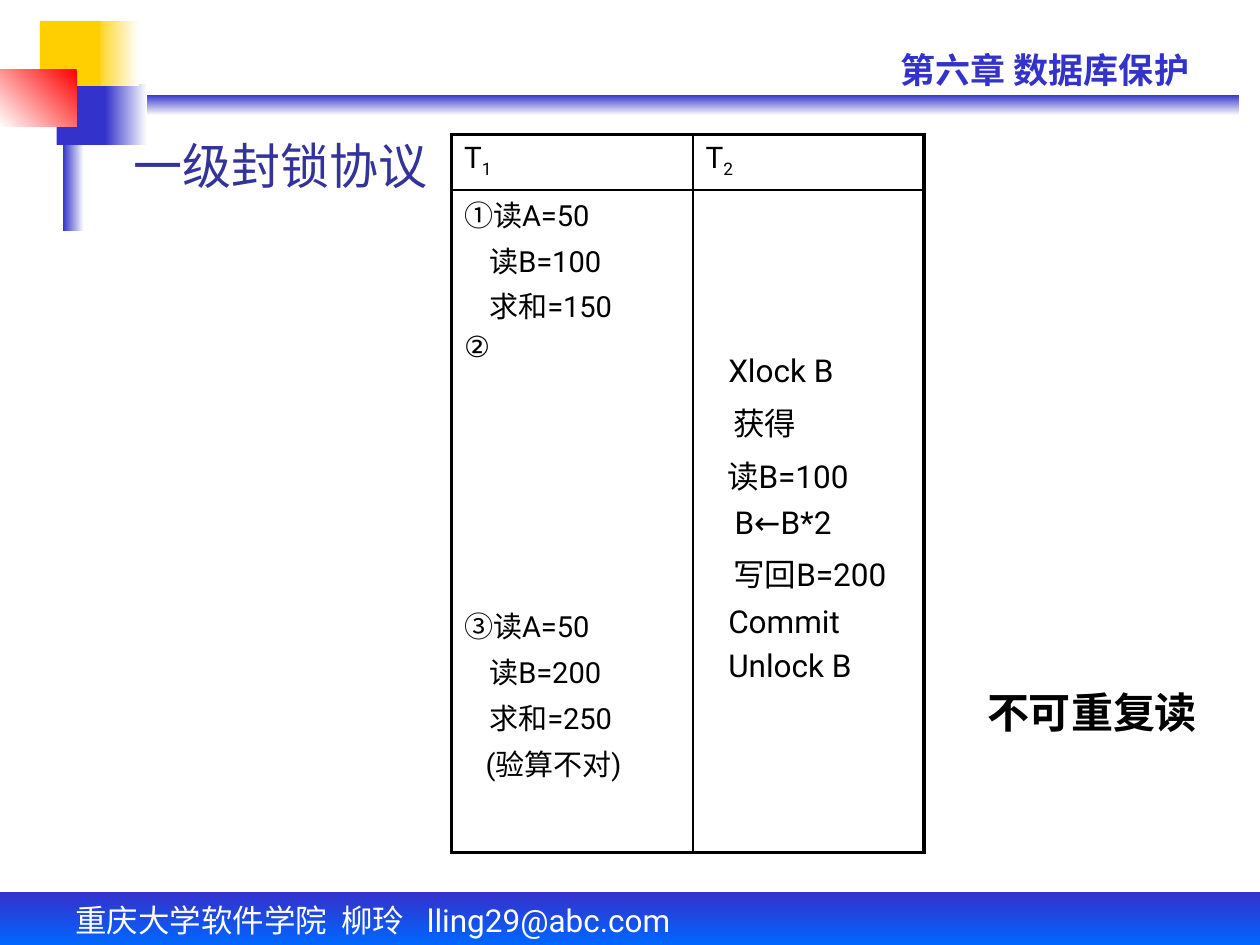
from lxml import etree
from pptx import Presentation
from pptx import util as u
from pptx.dml.color import RGBColor
from pptx.enum import shapes, text
from pptx.oxml import ns

BLUE = RGBColor(0x33, 0x33, 0xCC)
SKY = RGBColor(0x00, 0x66, 0xFF)
NAVY = RGBColor(0x33, 0x33, 0x99)
GOLD = RGBColor(0xFF, 0xCF, 0x01)
RED = RGBColor(0xFF, 0x00, 0x00)
WHITE = RGBColor(0xFF, 0xFF, 0xFF)
BLACK = RGBColor(0x00, 0x00, 0x00)

FIRST = [("①读A=50", 0, 0), ("读B=100", 0.2, 4.5), ("求和=150", 0.2, 4.5), ("②", 0, 4.5),
         ("③读A=50", 0, 139.3), ("读B=200", 0.2, 4.5), ("求和=250", 0.2, 4.5),
         ("(验算不对)", 0.17, 4.5)]
SECOND = [("Xlock B", 0.18, 0), ("获得", 0.22, 4.5), ("读B=100", 0.17, 4.5),
          ("B←B*2", 0.23, 4.5), ("写回B=200", 0.22, 4.5), ("Commit", 0.18, 4.5),
          ("Unlock B", 0.18, 4.5)]


class Deck:
    """Draws styled elements on one slide with a grid of 120 columns by 90 rows."""

    def __init__(self):
        self.show = Presentation()
        self.show.slide_width, self.show.slide_height = u.Inches(10), u.Inches(7.5)
        self.slide = self.show.slides.add_slide(self.show.slide_layouts[5])
        self.unit = self.show.slide_width / 120

    def grid(self, *cells):
        return [u.Emu(round(cell * self.unit)) for cell in cells]

    def style(self, para, size, color, bold=False, font="Roboto"):
        for run in para.runs:
            run.font.name, run.font.size, run.font.bold = font, u.Pt(size), bold
            run.font.color.rgb = color

    def block(self, area, color, end=None, angle=0):
        box = self.slide.shapes.add_shape(shapes.MSO_SHAPE.RECTANGLE, *self.grid(*area))
        box.shadow.inherit = False
        box.line.fill.background()
        if end is None:
            box.fill.solid()
            box.fill.fore_color.rgb = color
            return
        box.fill.gradient()
        box.fill.gradient_angle = angle
        for stop, tint in zip(box.fill.gradient_stops, (color, end)):
            stop.color.rgb = tint

    def title(self, area, words, size, color):
        box = self.slide.shapes.title
        box.left, box.top, box.width, box.height = self.grid(*area)
        frame = box.text_frame
        frame.text = words
        frame.auto_size = text.MSO_AUTO_SIZE.NONE
        frame.vertical_anchor = text.MSO_ANCHOR.BOTTOM
        frame.paragraphs[0].alignment = text.PP_ALIGN.CENTER
        self.style(frame.paragraphs[0], size, color)

    def label(self, area, words, size, color, bold=False, font="Roboto", mid=False, tabs=()):
        frame = self.slide.shapes.add_textbox(*self.grid(*area)).text_frame
        frame.word_wrap = not mid
        frame.text = words
        para = frame.paragraphs[0]
        if mid:
            frame.vertical_anchor = text.MSO_ANCHOR.MIDDLE
            para.alignment = text.PP_ALIGN.CENTER
        if tabs:
            stops = etree.SubElement(para._p.get_or_add_pPr(), ns.qn("a:tabLst"))
            for place in tabs:
                etree.SubElement(stops, ns.qn("a:tab"), pos=str(u.Inches(place)), algn="l")
        self.style(para, size, color, bold, font)

    def table(self, area, cols, rows):
        frame = self.slide.shapes.add_table(len(rows), len(cols), *self.grid(*area))
        grid = frame.table
        grid.first_row = grid.horz_banding = False
        for col, width in zip(grid.columns, self.grid(*cols)):
            col.width = width
        for row, height in zip(grid.rows, self.grid(*rows)):
            row.height = height
        for r in range(len(rows)):
            for c in range(len(cols)):
                outer = {"L": c == 0, "R": c == len(cols) - 1,
                         "T": r == 0, "B": r == len(rows) - 1}
                self.frame(grid.cell(r, c), outer)
        return grid

    def frame(self, cell, outer):
        props = cell._tc.get_or_add_tcPr()
        for side, edge in outer.items():
            width = u.Pt(2.25 if edge else 1)
            line = etree.SubElement(props, ns.qn("a:ln" + side), w=str(width))
            fill = etree.SubElement(line, ns.qn("a:solidFill"))
            etree.SubElement(fill, ns.qn("a:srgbClr"), val=str(BLACK))
        cell.fill.solid()
        cell.fill.fore_color.rgb = WHITE

    def head(self, cell, name, index):
        para = cell.text_frame.paragraphs[0]
        para.line_spacing = 0.9
        for part in (name, index):
            para.add_run().text = part
        self.style(para, 17, BLACK)
        para.runs[1]._r.get_or_add_rPr().set("baseline", "-25000")

    def steps(self, cell, lines, size, lead, top=0.05):
        cell.margin_top = u.Inches(top)
        cell.text_frame.text = "\n".join(line[0] for line in lines)
        for para, (_, indent, gap) in zip(cell.text_frame.paragraphs, lines):
            para._p.get_or_add_pPr().set("marL", str(u.Inches(indent)))
            para.line_spacing, para.space_before = lead, u.Pt(gap)
            self.style(para, size, BLACK)


def main():
    deck = Deck()
    deck.block((7, 9, 111, 2), BLUE, WHITE, 270)
    deck.block((10, 8, 4, 5.8), BLUE, WHITE)
    deck.block((0, 85, 120, 5), BLUE, SKY, 270)
    deck.block((6, 7, 2, 15), BLUE, WHITE)
    deck.block((5.4, 8, 4.6, 5.8), BLUE)
    deck.block((8.9, 2, 4.3, 6.2), GOLD, WHITE)
    deck.block((3.8, 2, 5.8, 6.2), GOLD)
    deck.block((0, 6.6, 7.3, 5.5), RED, WHITE, 225)
    deck.label((6, 85.2, 67, 4.8), "重庆大学软件学院\t柳玲\tlling29@abc.com", 18, WHITE,
               tabs=(2.11, 2.79))
    deck.label((84.6, 4, 33.5, 5.3), "第六章 数据库保护", 20, BLUE, bold=True)
    deck.title((8, 13.8, 37.4, 5.3), "一级封锁协议", 28, NAVY)

    grid = deck.table((43, 12.8, 45, 68.4), (23, 22), (5.3, 63.1))
    for col in range(2):
        deck.head(grid.cell(0, col), "T", str(col + 1))
    deck.steps(grid.cell(1, 0), FIRST, 16.6, 0.9)
    deck.steps(grid.cell(1, 1), SECOND, 18, 1, top=1.3)

    deck.label((92.2, 63.8, 23.6, 8), "不可重复读", 24, BLACK, bold=True, font="Arial", mid=True)
    deck.show.save("out.pptx")


if __name__ == "__main__":
    main()
